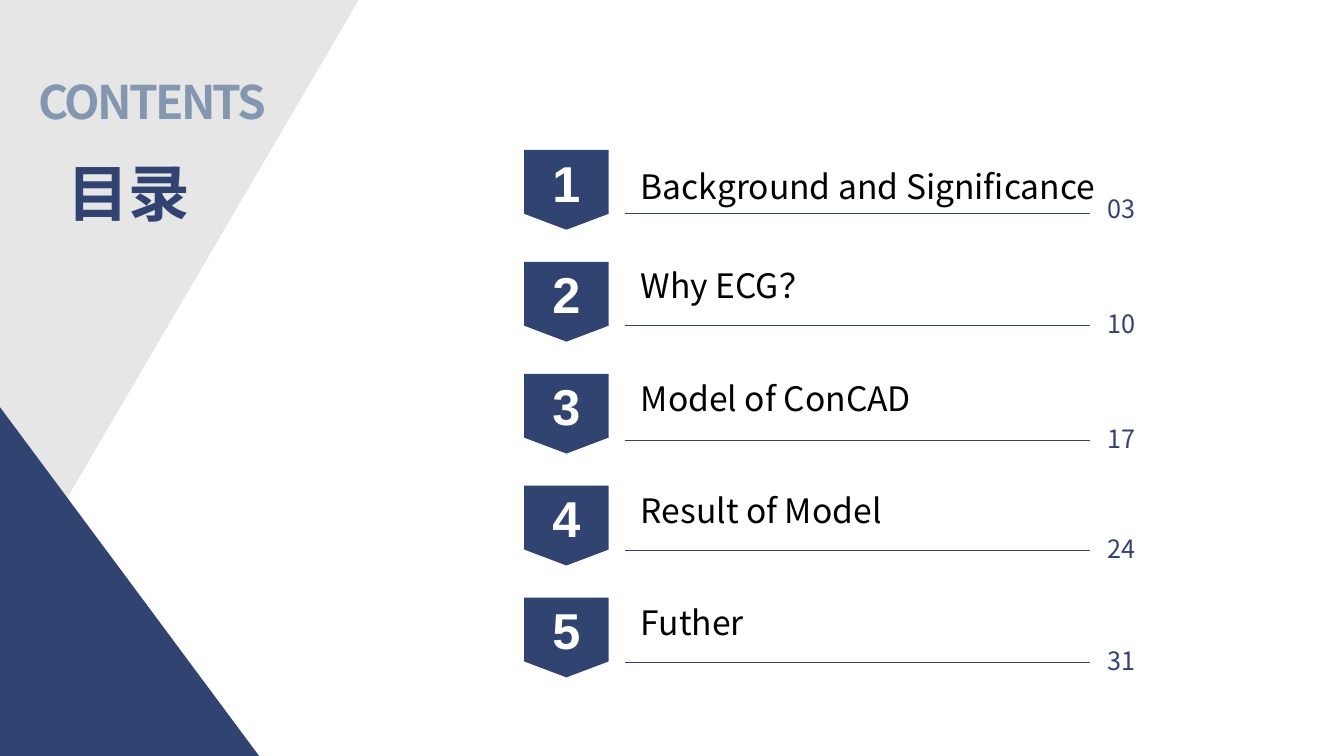
import pptx
import pptx.util
import pptx.dml.color
import pptx.enum.shapes
import pptx.enum.text
import pptx.oxml
import pptx.oxml.ns
from lxml import etree

Cm = pptx.util.Cm
Pt = pptx.util.Pt
Align = pptx.enum.text.PP_ALIGN
Fit = pptx.enum.text.MSO_AUTO_SIZE

ROWS = [
    {"text": "Background and Significance", "page": "03", "wide": 12.37, "tops": (4.04, 5.38, 4.75)},
    {"text": "Why ECG？", "page": "10", "wide": 5.31, "tops": (6.55, 8.2, 7.65)},
    {"text": "Model of ConCAD", "page": "17", "wide": 7.82, "tops": (9.4, 11.1, 10.54)},
    {"text": "Result of Model", "page": "24", "wide": 6.86, "tops": (12.22, 13.87, 13.31)},
    {"text": "Futher", "page": "31", "wide": 3.4, "tops": (15.04, 16.69, 16.13)},
]
HEADS = [
    ("CONTENTS", (0.56, 1.65, 7.62, 1.8), "banner", Align.LEFT, (0.41, 0.2)),
    ("目录", (1.09, 3.78, 4.32, 2.11), "title", Align.CENTER, (0.25, 0.13)),
]
WEDGES = [
    ("gray", [(0, 0), (9.04, 0), (0, 15.44)]),
    ("navy", [(0, 19.05), (6.53, 19.05), (0, 10.26)]),
]
THEME = {
    "navy": "314371", "gray": "E7E6E6", "steel": "8497B0",
    "black": "000000", "white": "FFFFFF",
    "sans": "Noto Sans CJK SC",
    "type": {
        "badge": {"name": "Arial", "size": 36, "bold": True, "tint": "white"},
        "item": {"size": 24, "bold": False, "tint": "black"},
        "page": {"size": 18, "bold": False, "tint": "navy"},
        "banner": {"size": 33, "bold": True, "tint": "steel", "track": -190},
        "title": {"size": 44, "bold": True, "tint": "navy"},
    },
}
BADGE = {"left": 13.21, "top": 3.78, "wide": 2.13, "high": 2.01, "step": 2.82}
RULE = (15.75, 27.48)
ITEM_LEFT, ITEM_HIGH = 15.9, 1.27
PAGE_LEFT, PAGE_WIDE, PAGE_HIGH = 27.66, 1.28, 1.02


def tint(name):
    return pptx.dml.color.RGBColor.from_string(THEME[name])


def apply(thing, form):
    for key, value in form.items():
        setattr(thing, key, value)


def paint(shape, name):
    shape.shadow.inherit = False
    shape.fill.solid()
    shape.fill.fore_color.rgb = tint(name)
    shape.line.fill.background()


def write(shape, text, style, align):
    look = THEME["type"][style]
    face = look.get("name", THEME["sans"])
    para = shape.text_frame.paragraphs[0]
    para.alignment = align
    run = para.add_run()
    run.text = text
    apply(run.font, {"name": face, "size": Pt(look["size"]), "bold": look["bold"]})
    run.font.color.rgb = tint(look["tint"])
    props = run._r.get_or_add_rPr()
    etree.SubElement(props, pptx.oxml.ns.qn("a:ea")).set("typeface", face)
    if "track" in look:
        props.set("spc", str(look["track"]))


def label(slide, text, box, style, align=Align.LEFT, wrap=False, pad=(0.25, 0.13)):
    shape = slide.shapes.add_textbox(*map(Cm, box))
    side, edge = map(Cm, pad)
    apply(shape.text_frame, {
        "word_wrap": wrap, "auto_size": Fit.SHAPE_TO_FIT_TEXT,
        "margin_left": side, "margin_right": side,
        "margin_top": edge, "margin_bottom": edge,
    })
    write(shape, text, style, align)


def badge(slide, index):
    shape = slide.shapes.add_shape(
        pptx.enum.shapes.MSO_SHAPE.FLOWCHART_OFFPAGE_CONNECTOR,
        Cm(BADGE["left"]), Cm(BADGE["top"] + index * BADGE["step"]),
        Cm(BADGE["wide"]), Cm(BADGE["high"]))
    paint(shape, "navy")
    shape.text_frame.vertical_anchor = pptx.enum.text.MSO_ANCHOR.MIDDLE
    write(shape, str(index + 1), "badge", Align.CENTER)


def rule(slide, top):
    start, end = RULE
    line = slide.shapes.add_connector(
        pptx.enum.shapes.MSO_CONNECTOR.STRAIGHT, Cm(start), Cm(top), Cm(end), Cm(top))
    line.line.color.rgb = tint("navy")
    line.line.width = Pt(1)
    etree.SubElement(line._element.spPr, pptx.oxml.ns.qn("a:effectLst"))


def wedge(slide, name, points):
    first, *rest = [(Cm(x), Cm(y)) for x, y in points]
    form = slide.shapes.build_freeform(*first)
    form.add_line_segments(rest, close=True)
    paint(form.convert_to_shape(), name)


def main():
    deck = pptx.Presentation()
    apply(deck, {"slide_width": Cm(33.87), "slide_height": Cm(19.05)})
    slide = deck.slides.add_slide(deck.slide_layouts[6])
    for index, row in enumerate(ROWS):
        item_top, rule_top, page_top = row["tops"]
        badge(slide, index)
        rule(slide, rule_top)
        label(slide, row["page"], (PAGE_LEFT, page_top, PAGE_WIDE, PAGE_HIGH), "page")
        label(slide, row["text"], (ITEM_LEFT, item_top, row["wide"], ITEM_HIGH), "item")
    for name, points in WEDGES:
        wedge(slide, name, points)
    for text, box, style, align, pad in HEADS:
        label(slide, text, box, style, align, True, pad)
    deck.save("out.pptx")


if __name__ == "__main__":
    main()
